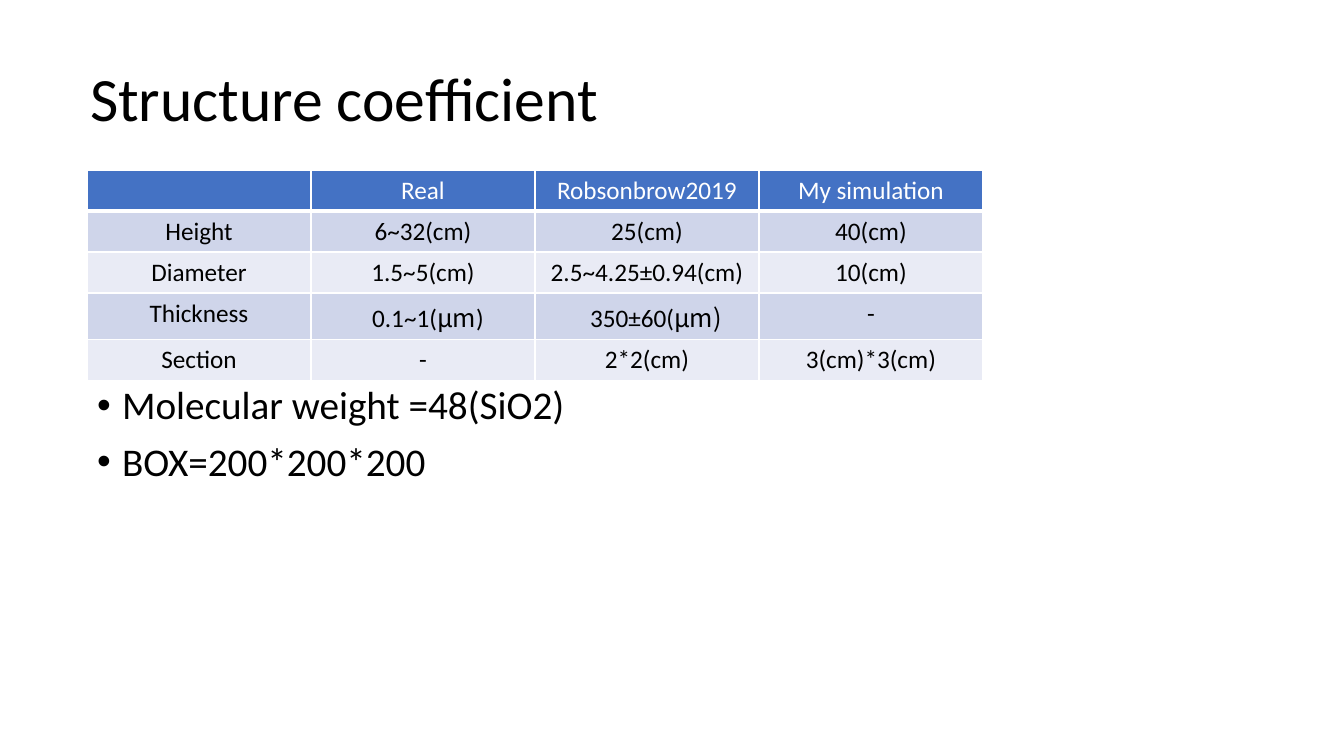
from lxml.etree import SubElement as Sub
from pptx import Presentation
from pptx.dml.color import RGBColor as RGB
from pptx.enum.text import MSO_ANCHOR as Anchor, PP_ALIGN as Align
from pptx.oxml.ns import qn
from pptx.util import Emu, Pt

SCALE = 914400 / 100.8
HEAD = {"name": "Calibri", "size": Pt(44), "bold": False}
LIST = {"name": "Calibri", "size": Pt(28), "bold": False}
CELL = {"name": "Calibri", "size": Pt(18), "bold": False}
UNIT = {**CELL, "name": "Noto Sans CJK TC"}

BLACK, WHITE = "000000", "FFFFFF"
BANDS = ["CFD5EA", "E9EBF5"]
PAD = 9
ROWS = [
    ["", "Real", "Robsonbrow2019", "My simulation"],
    ["Height", "6~32(cm)", "25(cm)", "40(cm)"],
    ["Diameter", "1.5~5(cm)", "2.5~4.25±0.94(cm)", "10(cm)"],
    ["Thickness", ["0.1~1(", "μm", ")"], ["350±60(", "μm)"], "-"],
    ["Section", "-", "2*2(cm)", "3(cm)*3(cm)"],
]
SHIFT = {(3, 1): 5, (3, 2): 9}


def px(n):
    return Emu(round(n * SCALE))


def color(code):
    return RGB.from_string(code)


def apply(item, values):
    for key, value in values.items():
        setattr(item, key, value)


def place(shape, box):
    apply(shape, dict(zip(["left", "top", "width", "height"], map(px, box))))


def write(para, text, style, code):
    run = para.add_run()
    run.text = text
    apply(run.font, style)
    run.font.color.rgb = color(code)


def title(shape, box, text):
    place(shape, box)
    shape.text_frame.vertical_anchor = Anchor.MIDDLE
    para = shape.text_frame.paragraphs[0]
    apply(para, {"alignment": Align.LEFT, "line_spacing": 0.9})
    write(para, text, HEAD, BLACK)


def bullets(shape, box, lines):
    place(shape, box)
    frame = shape.text_frame
    for i, line in enumerate(lines):
        para = frame.add_paragraph() if i else frame.paragraphs[0]
        apply(para, {"line_spacing": 0.9, "space_before": Pt(10 if i else 0)})
        props = para._p.get_or_add_pPr()
        props.set("marL", str(px(25)))
        props.set("indent", str(px(-25)))
        Sub(props, qn("a:buFont"), typeface="Arial")
        Sub(props, qn("a:buChar"), char="•")
        write(para, line, LIST, BLACK)


def border(cell, row):
    props = cell._tc.get_or_add_tcPr()
    for side in "LRTB":
        thick = (row, side) in [(0, "B"), (1, "T")]
        line = Sub(props, qn("a:ln" + side), w=str(Pt(3 if thick else 1)))
        fill = Sub(line, qn("a:solidFill"))
        Sub(fill, qn("a:srgbClr"), val=WHITE)


def table(slide, box, rows):
    size = len(rows), len(rows[0])
    grid = slide.shapes.add_table(*size, *map(px, box)).table
    for r, row in enumerate(rows):
        for c, text in enumerate(row):
            cell = grid.cell(r, c)
            border(cell, r)
            cell.fill.solid()
            cell.fill.fore_color.rgb = color(BANDS[(r - 1) % 2] if r else "4472C4")
            cell.margin_left = px(PAD + 2 * SHIFT.get((r, c), 0))
            cell.margin_right = px(PAD)
            para = cell.text_frame.paragraphs[0]
            para.alignment = Align.CENTER
            for part in [text] if isinstance(text, str) else text:
                if part:
                    style = UNIT if "μ" in part else CELL
                    write(para, part, style, BLACK if r else WHITE)


def main():
    deck = Presentation()
    apply(deck, {"slide_width": px(1344), "slide_height": px(756)})
    slide = deck.slides.add_slide(deck.slide_layouts[1])
    title(slide.shapes.title, (80, 29, 1159, 146), "Structure coefficient")
    lines = ["Molecular weight =48(SiO2)", "BOX=200*200*200"]
    bullets(slide.placeholders[1], (87, 381, 1177, 324), lines)
    table(slide, (87, 170, 896, 205), ROWS)
    deck.save("out.pptx")


if __name__ == "__main__":
    main()
